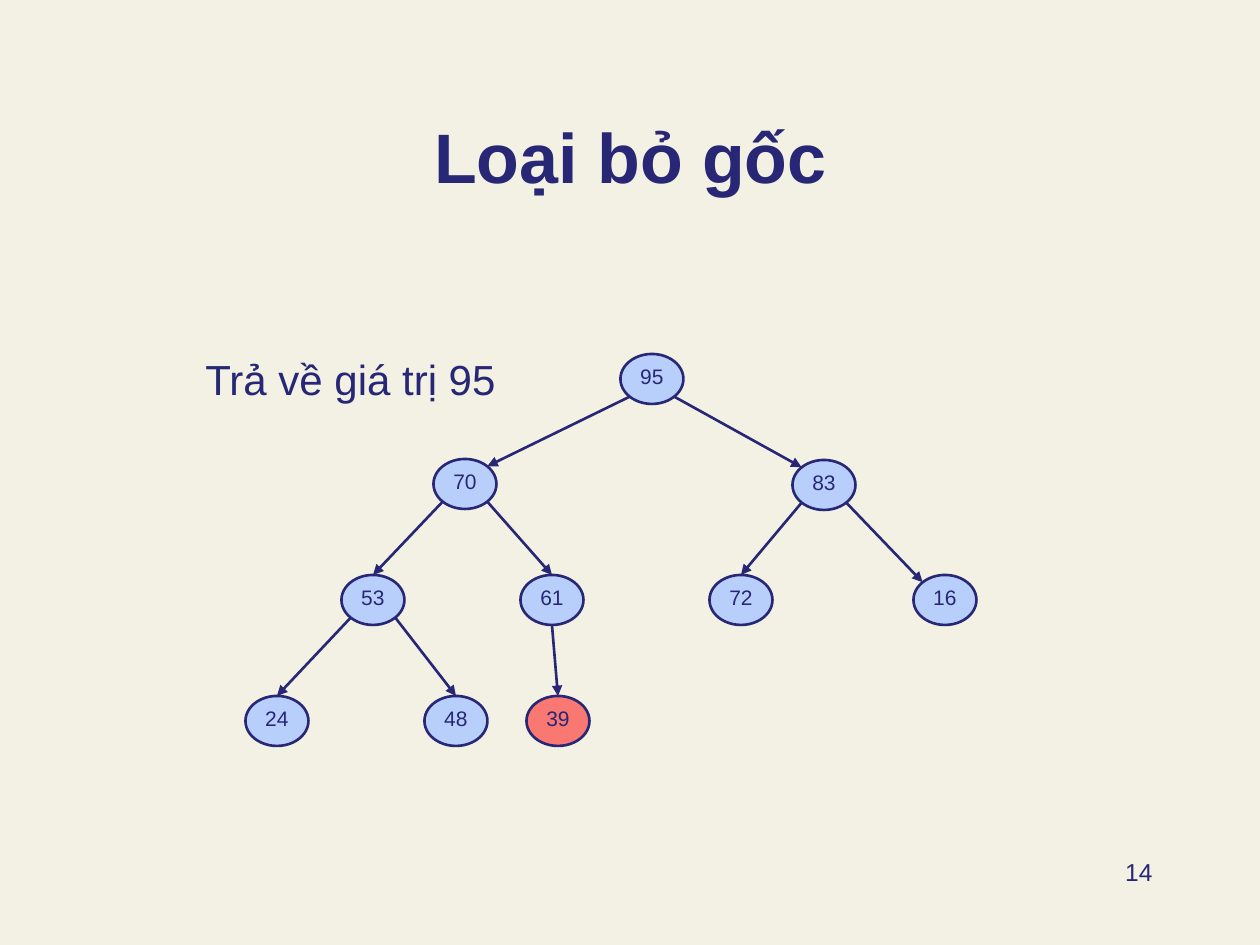
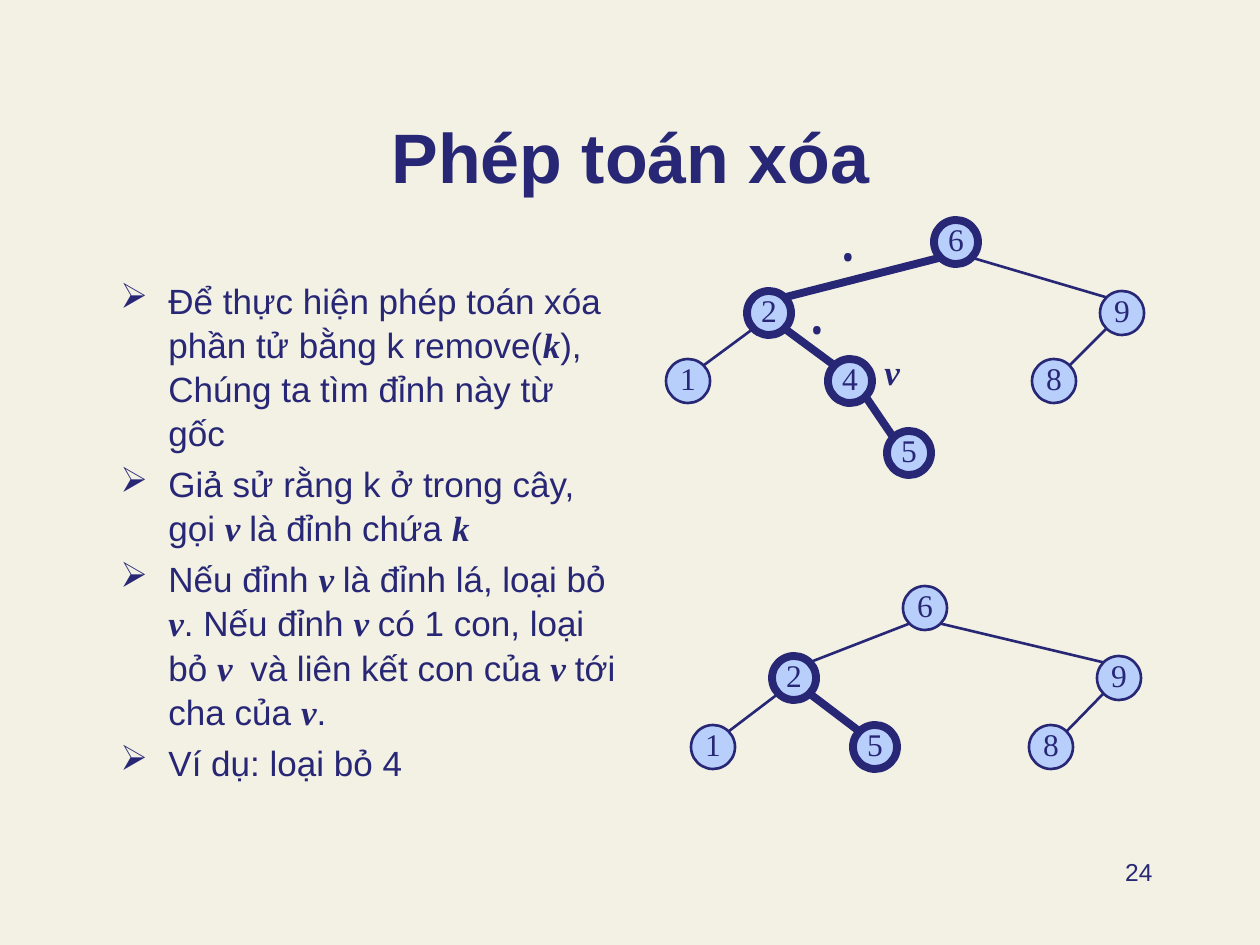
from lxml.etree import SubElement
from pptx import Presentation
from pptx.dml.color import RGBColor
from pptx.enum.shapes import MSO_CONNECTOR, MSO_SHAPE
from pptx.enum.text import MSO_ANCHOR, MSO_AUTO_SIZE, PP_ALIGN
from pptx.oxml.ns import qn
from pptx.util import Pt

STRAIGHT = MSO_CONNECTOR.STRAIGHT
ELLIPSE = MSO_SHAPE.OVAL
TOP, MIDDLE, BOTTOM = MSO_ANCHOR.TOP, MSO_ANCHOR.MIDDLE, MSO_ANCHOR.BOTTOM
LEFT, CENTER, RIGHT = PP_ALIGN.LEFT, PP_ALIGN.CENTER, PP_ALIGN.RIGHT
NO_AUTOFIT = MSO_AUTO_SIZE.NONE

CREAM = RGBColor(0xF3, 0xF1, 0xE4)
NAVY = RGBColor(0x27, 0x27, 0x76)
SKY = RGBColor(0xB8, 0xCF, 0xFB)
RED = RGBColor(0xFF, 0x00, 0x00)
SANS, SERIF, SYMBOL = "Arial", "Times New Roman", "Open Sans"
THIN, THICK = 1.5, 4.5
TITLE_ONLY = 5

HEAP = {
    "title": "Loại bỏ gốc",
    "number": "14",
    "labels": [("Trả về giá trị 95", (193, 347, 325, 63), 24, SANS, False)],
    "trees": [{
        "size": (63, 50), "font": SANS, "points": 12, "arrows": True,
        "nodes": {
            "95": (652, 379), "70": (465, 484), "83": (824, 485),
            "53": (373, 600), "61": (552, 600), "72": (741, 600), "16": (945, 600),
            "24": (277, 721), "48": (456, 721), "39": (558, 721),
        },
        "edges": [
            ("95", "bottom left", "70", "top right"), ("95", "bottom right", "83", "top left"),
            ("70", "bottom left", "53", "top"), ("70", "bottom right", "61", "top"),
            ("83", "bottom left", "72", "top"), ("83", "bottom right", "16", "top left"),
            ("53", "bottom left", "24", "top"), ("53", "bottom right", "48", "top"),
            ("61", "bottom", "39", "top"),
        ],
        "bold": "", "marked": "39",
    }],
}

LEFT_CHILD = ("bottom left", "top right")
RIGHT_CHILD = ("bottom right", "top left")


def search_tree(nodes, left_pairs, right_pairs, bold):
    edges = [(parent, LEFT_CHILD[0], child, LEFT_CHILD[1]) for parent, child in left_pairs]
    edges += [(parent, RIGHT_CHILD[0], child, RIGHT_CHILD[1]) for parent, child in right_pairs]
    return {"size": (44, 44), "font": SERIF, "points": 18, "arrows": False,
            "nodes": nodes, "edges": edges, "bold": bold, "marked": None}


REMOVAL = {
    "title": "Phép toán xóa",
    "number": "24",
    "labels": [
        ("v", (872, 344, 40, 54), 20, SERIF, True),
        ("•", (829, 229, 44, 54), 20, SYMBOL, False),
        ("•", (798, 302, 44, 54), 20, SYMBOL, False),
    ],
    "trees": [
        search_tree(
            {"6": (956, 242), "2": (769, 313), "9": (1122, 313), "1": (688, 381),
             "4": (850, 381), "8": (1054, 381), "5": (909, 453)},
            ["62", "98", "21"], ["69", "24", "45"], "6245"),
        search_tree(
            {"6": (925, 608), "2": (794, 678), "9": (1119, 678), "1": (713, 747),
             "5": (875, 747), "8": (1051, 747)},
            ["62", "98", "21"], ["69", "25"], "25"),
    ],
}

STEPS = [
    "Để thực hiện phép toán xóa phần tử bằng k remove(*k*), Chúng ta tìm đỉnh này từ gốc",
    "Giả sử rằng k ở trong cây, gọi *v *là đỉnh chứa *k*",
    "Nếu đỉnh *v *là đỉnh lá, loại bỏ *v*. Nếu đỉnh *v *có 1 con, loại bỏ *v  *"
    "và liên kết con của *v *tới cha của *v*.",
    "Ví dụ: loại bỏ 4",
]

DIAGONAL = 0.71
SITES = {
    "top": (0, -1), "bottom": (0, 1),
    "top left": (-DIAGONAL, -DIAGONAL), "top right": (DIAGONAL, -DIAGONAL),
    "bottom left": (-DIAGONAL, DIAGONAL), "bottom right": (DIAGONAL, DIAGONAL),
}


def px(length):
    return round(length * 914400 / 126)


def place(shape, area):
    shape.left, shape.top, shape.width, shape.height = map(px, area)


def set_font(font, size, name, bold=False, italic=False):
    font.size, font.name = Pt(size), name
    font.bold, font.italic = bold, italic
    font.color.rgb = NAVY


def write(shape, text, size, name, align=LEFT, anchor=TOP, bold=False, italic=False):
    frame = shape.text_frame
    frame.word_wrap, frame.auto_size = True, NO_AUTOFIT
    frame.vertical_anchor = anchor
    para = frame.paragraphs[0]
    para.text, para.alignment = text, align
    set_font(para.font, size, name, bold, italic)


def add_text(page, area, *style, **options):
    box = page.shapes.add_textbox(*map(px, area))
    write(box, *style, **options)


def add_edge(page, start, end, weight, arrow):
    edge = page.shapes.add_connector(STRAIGHT, *map(px, start + end))
    edge.line.color.rgb, edge.line.width = NAVY, Pt(weight)
    properties = edge._element.spPr
    if arrow:
        SubElement(properties.find(qn("a:ln")), qn("a:tailEnd"), type="triangle")
    SubElement(properties, qn("a:effectLst"))


def add_node(page, tree, value, weight):
    width, height = tree["size"]
    x, y = tree["nodes"][value]
    node = page.shapes.add_shape(
        ELLIPSE, *map(px, (x - width / 2, y - height / 2, width, height)))
    node.shadow.inherit = False
    node.fill.solid()
    node.fill.fore_color.rgb = SKY
    if value == tree["marked"]:
        node.fill.fore_color.rgb = RED
        color = node._element.spPr.find(".//" + qn("a:srgbClr"))
        SubElement(color, qn("a:alpha"), val="50000")
    node.line.color.rgb, node.line.width = NAVY, Pt(weight)
    frame = node.text_frame
    frame.margin_left = frame.margin_right = frame.margin_top = 0
    frame.margin_bottom = px(6)
    write(node, value, tree["points"], tree["font"], CENTER, MIDDLE)


def add_tree(page, tree):
    width, height = tree["size"]

    def site(value, name):
        x, y = tree["nodes"][value]
        across, down = SITES[name]
        return x + across * width / 2, y + down * height / 2

    for parent, leaving, child, entering in tree["edges"]:
        weight = THICK if parent in tree["bold"] and child in tree["bold"] else THIN
        if not tree["bold"]:
            weight = THIN
        add_edge(page, site(parent, leaving), site(child, entering), weight, tree["arrows"])
    for value in tree["nodes"]:
        add_node(page, tree, value, THICK if value in tree["bold"] else THIN)


def add_steps(page):
    box = page.shapes.add_textbox(*map(px, (108, 271, 522, 609)))
    frame = box.text_frame
    frame.word_wrap = True
    for index, step in enumerate(STEPS):
        para = frame.add_paragraph() if index else frame.paragraphs[0]
        para.line_spacing = 1.05
        para.space_before = Pt(4 if index else 0)
        set_font(para.font, 20, SANS)
        properties = para._p.get_or_add_pPr()
        properties.set("marL", str(px(48)))
        properties.set("indent", str(px(-48)))
        bullet_color = SubElement(properties, qn("a:buClr"))
        SubElement(bullet_color, qn("a:srgbClr"), val=str(NAVY))
        SubElement(properties, qn("a:buChar"), char="➢")
        properties.append(properties.find(qn("a:defRPr")))
        for position, piece in enumerate(step.split("*")):
            if piece:
                span = para.add_run()
                span.text = piece
                variable = position % 2 == 1
                set_font(span.font, 20, SERIF if variable else SANS, variable, variable)


def add_page(deck, content):
    page = deck.slides.add_slide(deck.slide_layouts[TITLE_ONLY])
    title = page.shapes.title
    place(title, (95, 68, 1071, 136))
    write(title, content["title"], 40, SANS, CENTER, BOTTOM, bold=True)
    add_text(page, (903, 851, 262, 63), content["number"], 14, SANS, RIGHT)
    for tree in content["trees"]:
        add_tree(page, tree)
    for text, area, size, name, slanted in content["labels"]:
        add_text(page, area, text, size, name, bold=slanted, italic=slanted)
    return page


def main():
    deck = Presentation()
    deck.slide_width, deck.slide_height = px(1260), px(945)
    background = deck.slide_master.background.fill
    background.solid()
    background.fore_color.rgb = CREAM
    add_page(deck, HEAP)
    add_steps(add_page(deck, REMOVAL))
    deck.save("out.pptx")


if __name__ == "__main__":
    main()
